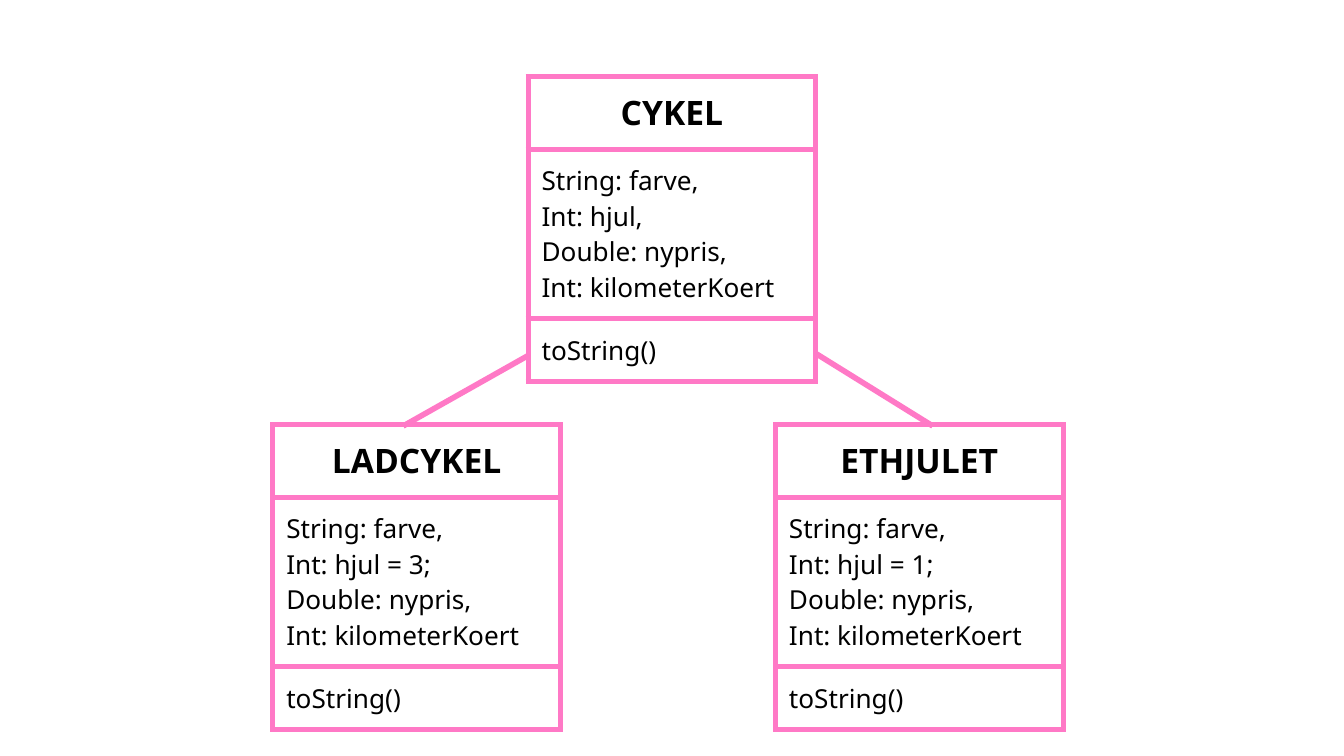
"""Build a class diagram of a bicycle and its two subclasses."""
from lxml import etree
from pptx import Presentation
from pptx.dml.color import RGBColor
from pptx.enum.shapes import MSO_CONNECTOR
from pptx.enum.text import PP_ALIGN
from pptx.oxml.ns import qn
from pptx.util import Inches, Pt

STRAIGHT = MSO_CONNECTOR.STRAIGHT
CENTER, LEFT = PP_ALIGN.CENTER, PP_ALIGN.LEFT
PINK = RGBColor(0xFF, 0x79, 0xC6)
BLACK = RGBColor(0, 0, 0)
FONT = "Noto Sans"
BORDER = Pt(3)
FRAME_SIZE = Inches(3.28)
CLASS_WIDTH, ROW_HEIGHT = Inches(2.14), Inches(0.42)
PADDING = Inches(0.1)
PARENT_TOP, CHILD_TOP = 0.57, 3.16


def add_borders(cell):
    properties = cell._tc.get_or_add_tcPr()
    for position, side in enumerate(("lnL", "lnR", "lnT", "lnB")):
        border = etree.Element(qn(f"a:{side}"), w=str(BORDER))
        fill = etree.SubElement(border, qn("a:solidFill"))
        etree.SubElement(fill, qn("a:srgbClr"), val=str(PINK))
        properties.insert(position, border)


prs = Presentation()
prs.slide_width = Inches(10)
prs.slide_height = prs.slide_width * 9 // 16
slide = prs.slides.add_slide(prs.slide_layouts[6])

classes = [
    ("CYKEL", "hjul,", 3.93, PARENT_TOP),
    ("LADCYKEL", "hjul = 3;", 2.03, CHILD_TOP),
    ("ETHJULET", "hjul = 1;", 5.77, CHILD_TOP),
]
for class_name, wheels, left, top in classes:
    fields = f"String: farve,\nInt: {wheels}\nDouble: nypris,\nInt: kilometerKoert"
    sections = [
        (class_name, 18, True, CENTER),
        (fields, 14, False, LEFT),
        ("toString()", 14, False, LEFT),
    ]
    class_frame = slide.shapes.add_table(
        len(sections), 1, Inches(left), Inches(top),
        CLASS_WIDTH, ROW_HEIGHT * len(sections))
    class_frame.width = class_frame.height = FRAME_SIZE
    class_box = class_frame.table
    class_box.first_row = class_box.horz_banding = False
    for row, (content, size, bold, alignment) in enumerate(sections):
        cell = class_box.cell(row, 0)
        cell.text_frame.text = content
        cell.margin_left = cell.margin_right = PADDING
        cell.margin_top = cell.margin_bottom = PADDING
        cell.fill.background()
        add_borders(cell)
        for paragraph in cell.text_frame.paragraphs:
            paragraph.alignment = alignment
            font = paragraph.runs[0].font
            font.name, font.size, font.bold = FONT, Pt(size), bold
            font.color.rgb = BLACK

inheritance_lines = [(3.94, 2.64, 3, 3.17), (6.07, 2.63, 6.94, 3.17)]
for ends in inheritance_lines:
    inheritance = slide.shapes.add_connector(STRAIGHT, *map(Inches, ends))
    inheritance.line.color.rgb = PINK
    inheritance.line.width = BORDER
    etree.SubElement(inheritance._element.spPr, qn("a:effectLst"))

prs.save("out.pptx")
